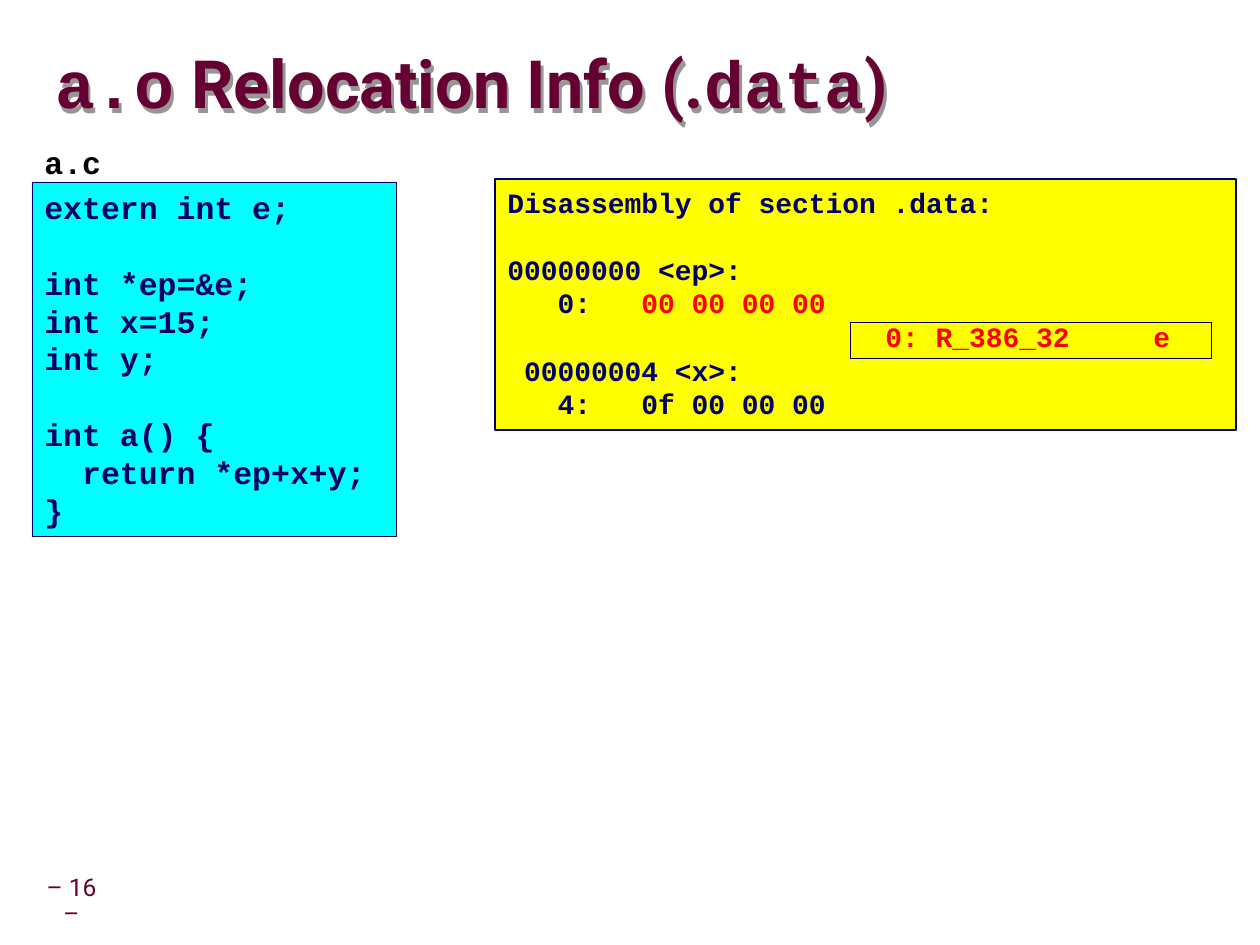
from lxml import etree
from pptx import Presentation
from pptx.dml.color import RGBColor
from pptx.enum.shapes import MSO_SHAPE
from pptx.enum.text import MSO_ANCHOR, PP_ALIGN
from pptx.oxml.ns import qn
from pptx.util import Emu, Pt

RECTANGLE = MSO_SHAPE.RECTANGLE
MIDDLE = MSO_ANCHOR.MIDDLE
LEFT, CENTER = PP_ALIGN.LEFT, PP_ALIGN.CENTER

PX = 914400 // 126
LINE_HEIGHT = 1.2
TAB = 126
MONO, SANS = "Courier New", "Roboto"
COLORS = {
    "maroon": "660033", "navy": "000066", "red": "FF0000", "black": "000000",
    "white": "FFFFFF", "cyan": "00FFFF", "yellow": "FFFF00", "shadow": "969696",
}

TITLE = [("a.o", MONO), (" Relocation Info (.", SANS), ("data", MONO), (")", SANS)]
PAGE_NUMBER = "– 16 –"

# A line is (spans, blank lines before it, tabs of indent); a span is (text, color).
FILE_NAME = [([("a.c", "black")], 0, 0)]
SOURCE_CODE = [
    ([(text, "navy")], gap, 0) for text, gap in [
        ("extern int e;", 0),
        ("int *ep=&e;", 1),
        ("int x=15;", 0),
        ("int y;", 0),
        ("int a() {", 1),
        ("  return *ep+x+y;", 0),
        ("}", 0),
    ]
]
DISASSEMBLY = [
    ([("Disassembly of section .data:", "navy")], 0, 0),
    ([("00000000 <ep>:", "navy")], 1, 0),
    ([("   0:   ", "navy"), ("00 00 00 00", "red")], 0, 0),
    ([("0: R_386_32     e", "red")], 0, 3),
    ([(" 00000004 <x>:", "navy")], 0, 0),
    ([("   4:   0f 00 00 00", "navy")], 0, 0),
]

# Position, fill, line color, line width, font size, wrap, lines
BOXES = [
    ((32, 137, 82, 50), None, "white", 0.25, 18, False, FILE_NAME),
    ((32, 182, 364, 354), "cyan", "navy", 0.25, 18, False, SOURCE_CODE),
    ((495, 179, 741, 251), "yellow", "navy", 1, 16, True, DISASSEMBLY),
    ((850, 322, 361, 36), None, "navy", 0.25, 16, True, []),
]


def rgb(name):
    return RGBColor.from_string(COLORS[name])


def px(*lengths):
    return [Emu(length * PX) for length in lengths]


def add_box(page, place, fill, line, width, size, wrap, lines):
    box = page.shapes.add_shape(RECTANGLE, *px(*place))
    box.shadow.inherit = False
    if fill:
        box.fill.solid()
        box.fill.fore_color.rgb = rgb(fill)
    else:
        box.fill.background()
    box.line.color.rgb = rgb(line)
    box.line.width = Pt(width)
    frame = box.text_frame
    frame.word_wrap = wrap
    frame.vertical_anchor = MSO_ANCHOR.TOP
    for index, (spans, gap, tabs) in enumerate(lines):
        paragraph = frame.add_paragraph() if index else frame.paragraphs[0]
        paragraph.alignment = LEFT
        paragraph.space_before = Pt(gap * size * LINE_HEIGHT)
        if tabs:
            paragraph._p.get_or_add_pPr().set("marL", str(tabs * TAB * PX))
        font = paragraph.font
        font.name, font.size, font.bold = MONO, Pt(size), True
        for text, color in spans:
            span = paragraph.add_run()
            span.text = text
            span.font.color.rgb = rgb(color)


def add_text_shadow(shape):
    """Cast a hard shadow from the text of an unfilled shape."""
    shape.fill.background()
    effects = etree.SubElement(shape._element.spPr, qn("a:effectLst"))
    shadow = etree.SubElement(effects, qn("a:outerShdw"),
                              dist=str(6 * PX), dir="3600000", algn="ctr", rotWithShape="0")
    etree.SubElement(shadow, qn("a:srgbClr"), val=COLORS["shadow"])


def set_title(page):
    title = page.shapes.title
    title.left, title.top, title.width, title.height = px(55, 34, 1201, 107)
    frame = title.text_frame
    frame.margin_left = frame.margin_right = frame.margin_top = frame.margin_bottom = 0
    frame.vertical_anchor = MIDDLE
    frame.word_wrap = True
    paragraph = frame.paragraphs[0]
    paragraph.alignment = LEFT
    paragraph.line_spacing = 0.87
    font = paragraph.font
    font.size, font.bold, font.color.rgb = Pt(38), True, rgb("maroon")
    for text, name in TITLE:
        span = paragraph.add_run()
        span.text = text
        span.font.name = name
    add_text_shadow(title)


def add_page_number(page):
    box = page.shapes.add_textbox(*px(30, 882, 83, 39))
    frame = box.text_frame
    frame.margin_left, frame.margin_right, frame.margin_top, frame.margin_bottom = px(6, 6, 6, 6)
    frame.vertical_anchor = MIDDLE
    frame.word_wrap = True
    paragraph = frame.paragraphs[0]
    paragraph.text = PAGE_NUMBER
    paragraph.alignment = CENTER
    paragraph.line_spacing = 0.9
    font = paragraph.font
    font.name, font.size, font.color.rgb = SANS, Pt(14), rgb("maroon")


def main():
    deck = Presentation()
    deck.slide_width, deck.slide_height = px(1260, 945)
    page = deck.slides.add_slide(deck.slide_layouts[5])
    add_page_number(page)
    set_title(page)
    for box in BOXES:
        add_box(page, *box)
    deck.save("out.pptx")


if __name__ == "__main__":
    main()
